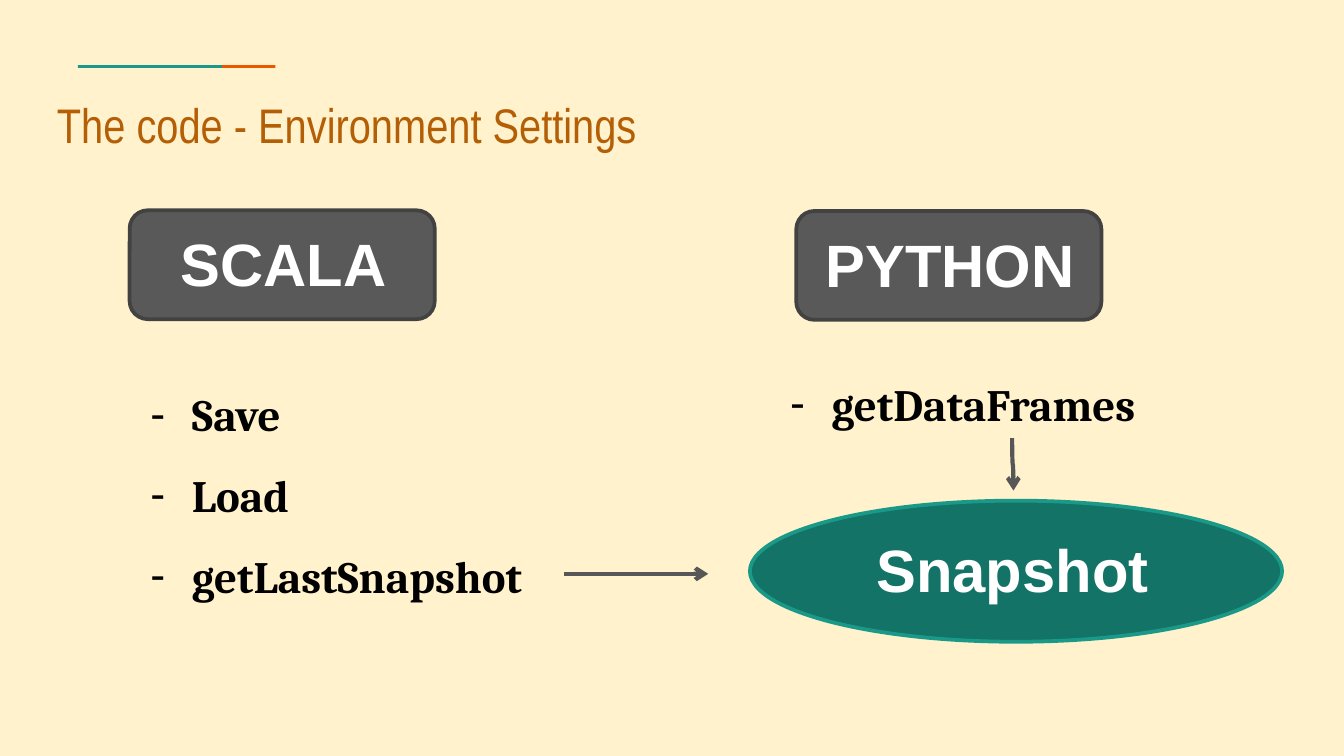
import pptx
import pptx.util
import pptx.dml.color
import pptx.enum.shapes
import pptx.enum.text
import pptx.oxml.ns
import lxml.etree
from collections import namedtuple

COLORS = {
    "background": "FFF2CC", "title": "B45F06", "teal": "1A9988",
    "orange": "EB5600", "header": "595959", "header_line": "424242",
    "snapshot": "137366", "arrow": "575757", "white": "FFFFFF",
    "black": "000000",
}
COLUMNS = 100
ROWS = COLUMNS * 9 / 16
CELL = pptx.util.Inches(0.1)
SHAPES = pptx.enum.shapes.MSO_SHAPE
CONNECTORS = pptx.enum.shapes.MSO_CONNECTOR
ALIGN = pptx.enum.text.PP_ALIGN

Box = namedtuple("Box", "left top width height")


def cells(*counts):
    return [round(count * CELL) for count in counts]


def color(name):
    return pptx.dml.color.RGBColor.from_string(COLORS[name])


def add_child(parent, tag, **attributes):
    child = lxml.etree.SubElement(parent, pptx.oxml.ns.qn(tag))
    for key, value in attributes.items():
        child.set(key, value)
    return child


def add_frame(slide, box):
    frame = slide.shapes.add_textbox(*cells(*box)).text_frame
    frame.word_wrap = True
    return frame


def add_run(paragraph, text, font, size, ink, bold=False):
    run = paragraph.add_run()
    run.text = text
    run.font.name = font
    run.font.size = pptx.util.Pt(size)
    run.font.bold = bold
    run.font.color.rgb = color(ink)


def add_panel(slide, box, preset, fill, line=None):
    panel = slide.shapes.add_shape(preset, *cells(*box))
    panel.shadow.inherit = False
    panel.fill.solid()
    panel.fill.fore_color.rgb = color(fill)
    if line:
        panel.line.color.rgb = color(line)
        panel.line.width = pptx.util.Pt(2)
    else:
        panel.line.fill.background()


def add_accent(slide, box):
    teal_width = box.width * 0.73
    add_panel(slide, box._replace(width=teal_width), SHAPES.RECTANGLE, "teal")
    add_panel(slide, box._replace(left=box.left + teal_width,
                                  width=box.width - teal_width),
              SHAPES.RECTANGLE, "orange")


def add_title(slide, box, text):
    frame = add_frame(slide, box)
    frame.margin_top = frame.margin_bottom = CELL
    frame.margin_left = frame.margin_right = CELL
    add_run(frame.paragraphs[0], text, "Arial Narrow", 26, "title")


def add_label(slide, box, text):
    caption = add_frame(slide, box).paragraphs[0]
    caption.alignment = ALIGN.CENTER
    add_run(caption, text, "Arial", 32, "white", True)


def add_header(slide, box, language):
    add_panel(slide, box, SHAPES.ROUNDED_RECTANGLE, "header", "header_line")
    add_label(slide, Box(box.left + 0.6, box.top + 0.75, 21.7, 6.4), language)


def add_snapshot(slide, box):
    add_panel(slide, box, SHAPES.OVAL, "snapshot", "teal")
    add_label(slide, Box(box.left + 6.2, box.top + 1.9, 26.7, 6.4), "Snapshot")


def add_functions(slide, box, names):
    frame = add_frame(slide, box)
    indent = round(3.1 * CELL)
    for index, name in enumerate(names):
        paragraph = frame.add_paragraph() if index else frame.paragraphs[0]
        paragraph.line_spacing = 1.5
        properties = paragraph._p.get_or_add_pPr()
        properties.set("marL", str(indent))
        properties.set("indent", str(-indent))
        bullet_color = add_child(properties, "a:buClr")
        add_child(bullet_color, "a:srgbClr", val=COLORS["black"])
        add_child(properties, "a:buFont", typeface="Arial")
        add_child(properties, "a:buChar", char="-")
        add_run(paragraph, name, "Cambria", 24, "black", True)


def add_arrow(slide, kind, start, end):
    arrow = slide.shapes.add_connector(kind, *cells(*start, *end))
    arrow.line.color.rgb = color("arrow")
    arrow.line.width = pptx.util.Pt(2.25)
    add_child(arrow.line._get_or_add_ln(), "a:tailEnd", type="arrow")
    add_child(arrow._element.spPr, "a:effectLst")
    return arrow


def add_right_arrow(slide, box):
    middle = box.top + box.height / 2
    add_arrow(slide, CONNECTORS.STRAIGHT,
              (box.left, middle), (box.left + box.width, middle))


def add_down_arrow(slide, box):
    center = box.left + box.width / 2
    middle = box.top + box.height / 2
    arrow = add_arrow(slide, CONNECTORS.CURVE,
                      (center + box.height / 2, middle - box.width / 2),
                      (center - box.height / 2, middle + box.width / 2))
    arrow._element.spPr.find(pptx.oxml.ns.qn("a:xfrm")).set("rot", "16200000")


def build_slide(deck):
    slide = deck.slides.add_slide(deck.slide_layouts[6])
    slide.background.fill.solid()
    slide.background.fill.fore_color.rgb = color("background")
    add_accent(slide, Box(5.8, 4.85, 14.7, 0.2))
    add_title(slide, Box(3.25, 6.1, 84.1, 5.9), "The code - Environment Settings")
    add_header(slide, Box(9.65, 15.65, 22.7, 8.1), "SCALA")
    add_header(slide, Box(59.25, 15.7, 22.7, 8.1), "PYTHON")
    add_snapshot(slide, Box(55.8, 37.25, 39.6, 10.5))
    add_functions(slide, Box(10.2, 26.3, 35.5, 19.2),
                  ("Save", "Load", "getLastSnapshot"))
    add_functions(slide, Box(57.8, 25.5, 35.5, 7.1), ("getDataFrames",))
    add_down_arrow(slide, Box(75.3, 32.6, 0.1, 3.9))
    add_right_arrow(slide, Box(42, 42.7, 10.7, 0))


def main():
    deck = pptx.Presentation()
    deck.slide_width, deck.slide_height = cells(COLUMNS, ROWS)
    build_slide(deck)
    deck.save("out.pptx")


if __name__ == "__main__":
    main()
